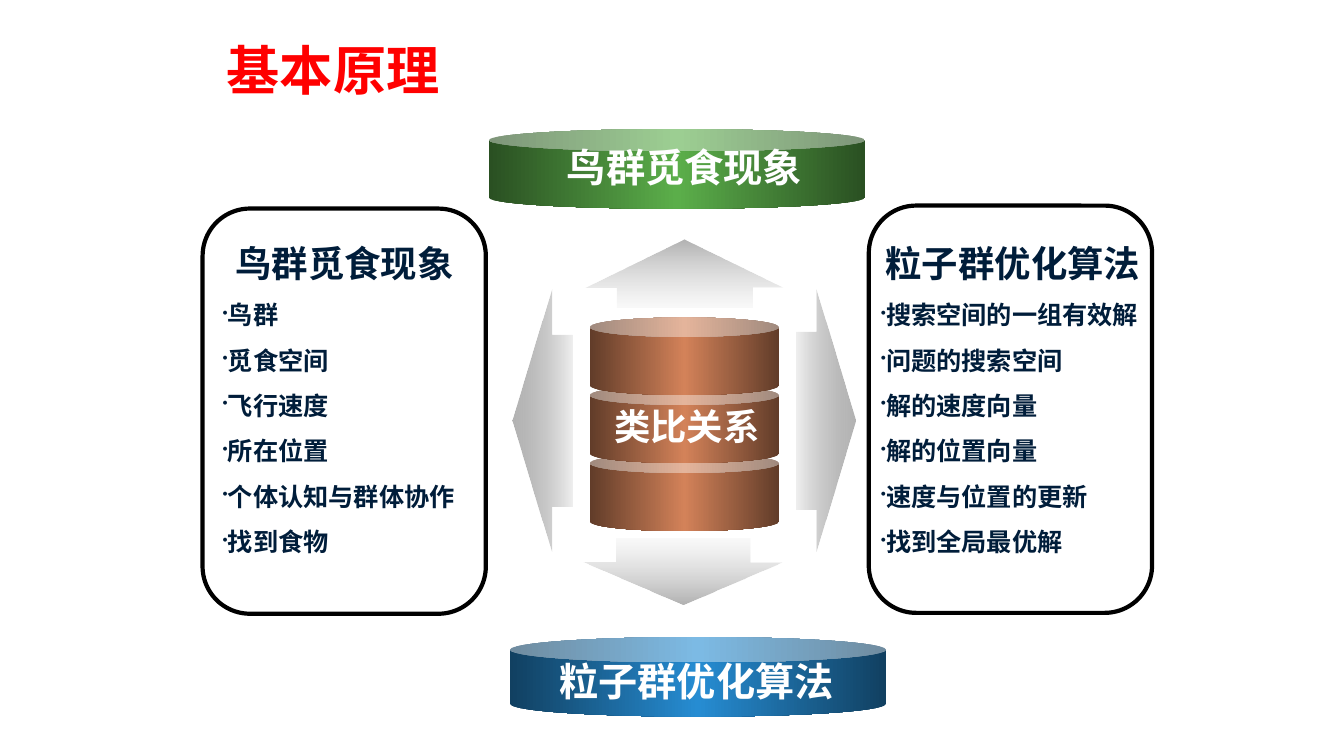
from lxml.etree import SubElement
from pptx import Presentation
from pptx.dml.color import RGBColor
from pptx.enum.shapes import MSO_SHAPE as Preset
from pptx.enum.text import MSO_ANCHOR as Anchor, PP_ALIGN as Align
from pptx.oxml.ns import qn
from pptx.util import Pt

NAVY, WHITE, RED, BLACK = "001D3A", "FFFFFF", "FF0000", "000000"
GREEN = [(0, "2A5022", 100), (50, "5BAE4A", 100), (100, "2A5022", 100)]
BLUE = [(0, "114061", 100), (50, "268CD2", 100), (100, "114061", 100)]
BROWN = [(0, "613C29", 100), (50, "D38259", 100), (100, "613C29", 100)]
GREY, FADED_LIGHT, FADED_DARK = ("B2B2B2", 100), ("D2D2D2", 12), ("7F7F7F", 12)

BIRDS = "鸟群觅食现象"
SWARM = "粒子群优化算法"
BIRD_TERMS = ["鸟群", "觅食空间", "飞行速度", "所在位置", "个体认知与群体协作", "找到食物"]
SWARM_TERMS = ["搜索空间的一组有效解", "问题的搜索空间", "解的速度向量",
               "解的位置向量", "速度与位置的更新", "找到全局最优解"]


def color(value):
    return RGBColor.from_string(value)


def add_preset(slide, preset, box, adjustments):
    shape = slide.shapes.add_shape(preset, *map(Pt, box))
    shape.shadow.inherit = False
    for index, value in enumerate(adjustments):
        shape.adjustments[index] = value
    return shape


def add_shaded(slide, preset, box, adjustments, stops, angle=0):
    shape = add_preset(slide, preset, box, adjustments)
    shape.line.fill.background()
    shape.fill.gradient()
    shape.fill.gradient_angle = angle
    stop_list = shape.element.spPr.find(".//" + qn("a:gsLst"))
    for default_stop in list(stop_list):
        stop_list.remove(default_stop)
    for position, tint, opacity in stops:
        stop = SubElement(stop_list, qn("a:gs"), pos=str(position * 1000))
        rgb = SubElement(stop, qn("a:srgbClr"), val=tint)
        if opacity < 100:
            SubElement(rgb, qn("a:alpha"), val=str(opacity * 1000))


def add_outline(slide, box):
    outline = add_preset(slide, Preset.ROUNDED_RECTANGLE, box, [0.167])
    outline.fill.background()
    outline.line.color.rgb = color(BLACK)
    outline.line.width = Pt(3)


def add_frame(slide, box, wrap=True, anchor=Anchor.TOP):
    frame = slide.shapes.add_textbox(*map(Pt, box)).text_frame
    for name, value in {"word_wrap": wrap, "vertical_anchor": anchor}.items():
        setattr(frame, name, value)
    return frame


def write(paragraph, text, size, tint, align=Align.CENTER, font="DejaVu Sans"):
    paragraph.alignment = align
    run = paragraph.add_run()
    run.text = text
    for name, value in {"size": Pt(size), "name": font, "bold": True}.items():
        setattr(run.font, name, value)
    run.font.color.rgb = color(tint)


def add_label(slide, box, text, size):
    write(add_frame(slide, box, wrap=False).paragraphs[0], text, size, WHITE)


def add_panel(slide, outline_box, text_box, heading, terms):
    add_outline(slide, outline_box)
    frame = add_frame(slide, text_box)
    write(frame.paragraphs[0], heading, 26, NAVY)
    for term in terms:
        paragraph = frame.add_paragraph()
        paragraph.line_spacing = 1.5
        properties = paragraph._p.get_or_add_pPr()
        SubElement(properties, qn("a:buSzPct"), val="60000")
        SubElement(properties, qn("a:buChar"), char="•")
        write(paragraph, term, 18, NAVY, Align.LEFT)


def add_arrow(slide, preset, box, adjustments, start, end, angle=0):
    add_shaded(slide, preset, box, adjustments, [(0, *start), (100, *end)], angle)


def main():
    deck = Presentation()
    deck.slide_width, deck.slide_height = Pt(960), Pt(540)
    slide = deck.slides.add_slide(deck.slide_layouts[6])

    title = add_frame(slide, (154.8, 27.4, 671.8, 44.6), anchor=Anchor.MIDDLE)
    write(title.paragraphs[0], "基本原理", 38, RED, Align.LEFT, "Times New Roman")

    add_panel(slide, (144.7, 149, 202.3, 289.4), (151.9, 168.5, 188.6, 254.9), BIRDS, BIRD_TERMS)
    add_panel(slide, (620.6, 146.9, 202.3, 290.9), (622.1, 168.5, 203, 254.9), SWARM, SWARM_TERMS)

    add_shaded(slide, Preset.CAN, (349.2, 92.2, 268.6, 56.9), [0.279], GREEN)
    add_label(slide, (397.4, 98.6, 182.9, 41), BIRDS, 28)
    add_shaded(slide, Preset.CAN, (364.3, 455, 268.6, 56.9), [0.32], BLUE)
    add_label(slide, (391.7, 465.8, 211.7, 41), SWARM, 28)

    add_arrow(slide, Preset.DOWN_ARROW, (416.9, 384.5, 141.8, 47.5), [0.671, 0.641],
              FADED_LIGHT, GREY, 270)
    for level in (2, 1, 0):
        add_shaded(slide, Preset.CAN, (421.2, 226.8 + 48.6 * level, 135.4, 55.4), [0.25], BROWN)
    add_arrow(slide, Preset.LEFT_ARROW, (365.8, 206.6, 43.2, 187.2), [0.656, 0.652],
              GREY, FADED_DARK)
    add_arrow(slide, Preset.RIGHT_ARROW, (568.8, 206.6, 42.5, 187.2), [0.677, 0.662],
              FADED_DARK, GREY)
    add_arrow(slide, Preset.UP_ARROW, (418.3, 171.4, 141.1, 48.2), [0.684, 0.708],
              GREY, FADED_LIGHT, 270)
    add_label(slide, (431.3, 285.1, 118.8, 38.9), "类比关系", 26)

    deck.save("out.pptx")


if __name__ == "__main__":
    main()
